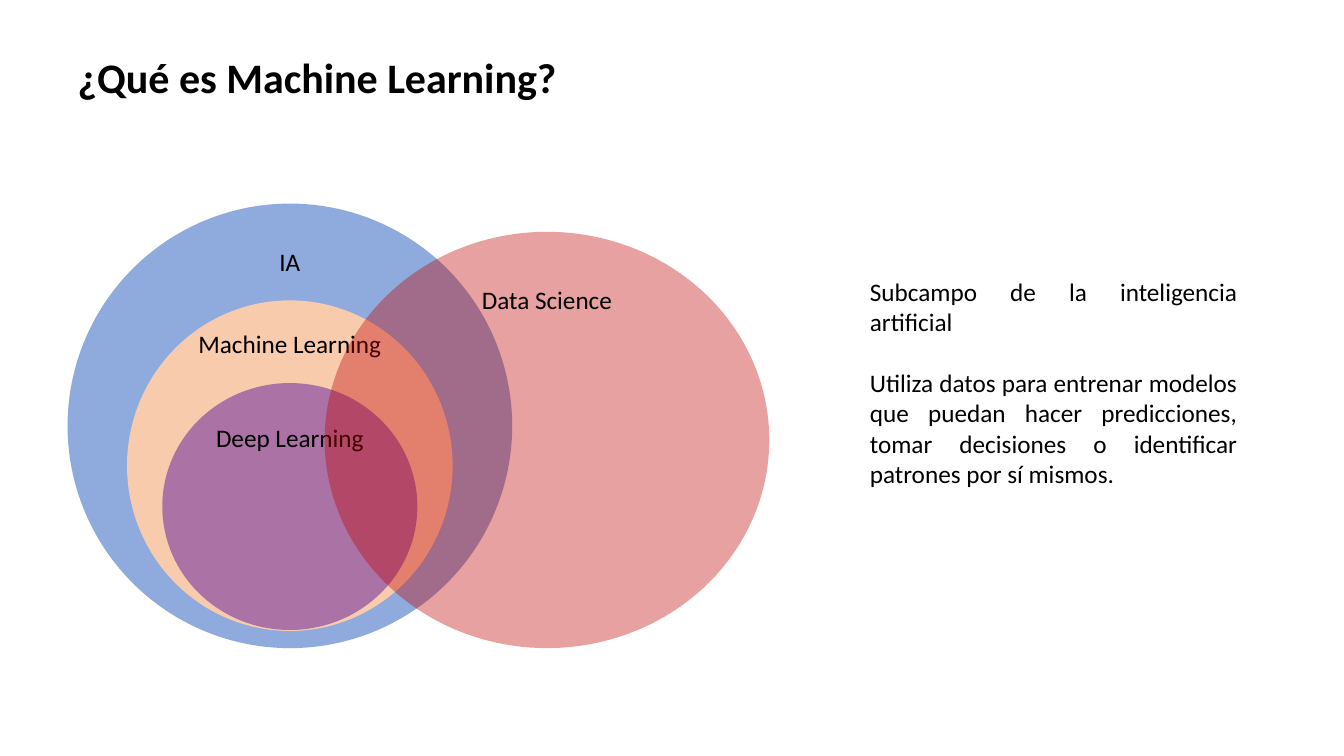
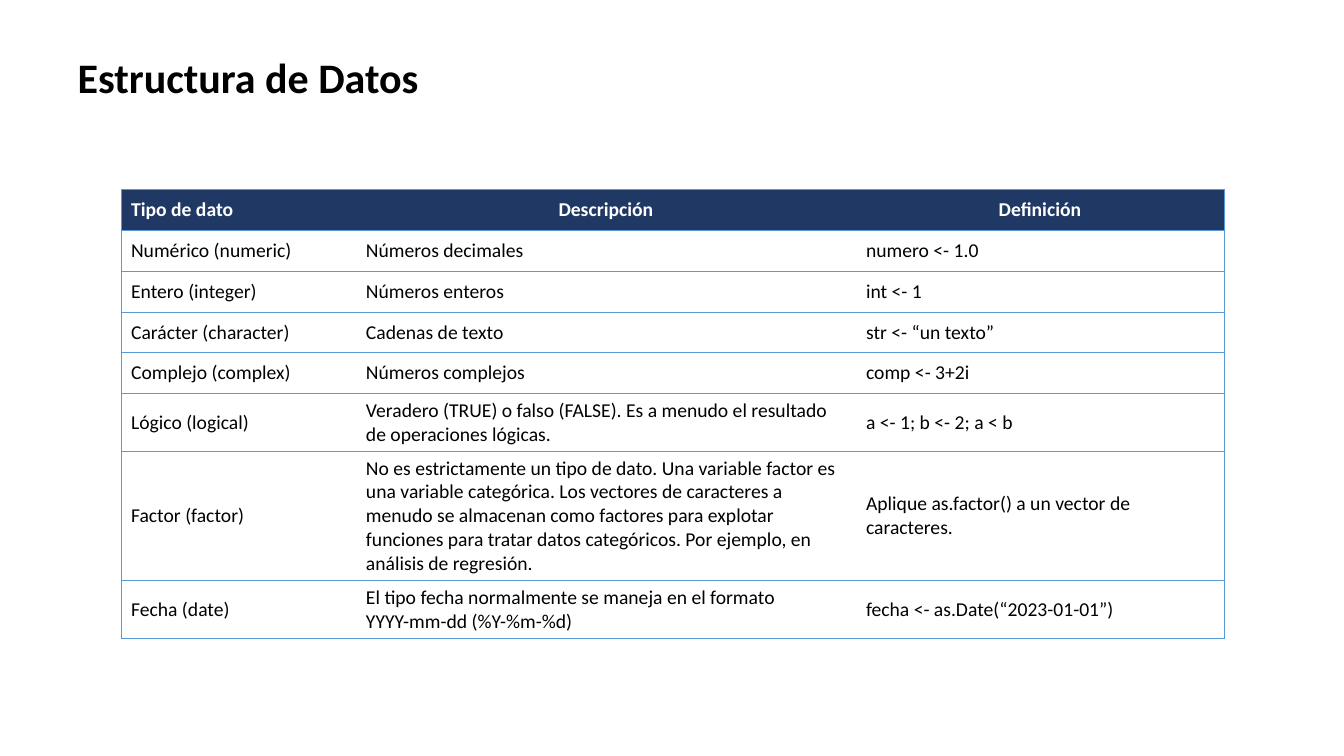
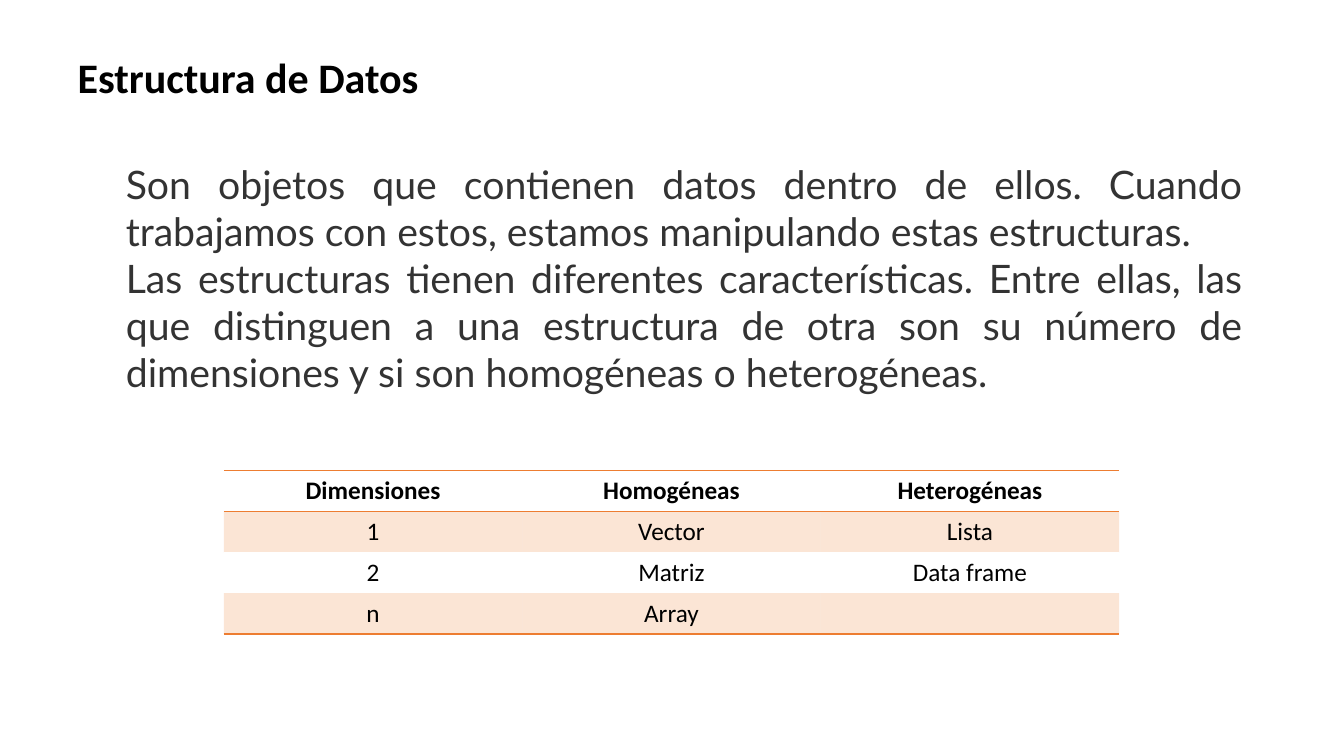
from dataclasses import dataclass

from lxml.etree import SubElement
from pptx import Presentation
from pptx.dml.color import RGBColor
from pptx.enum.shapes import MSO_SHAPE
from pptx.enum.text import MSO_ANCHOR, MSO_AUTO_SIZE, PP_ALIGN
from pptx.oxml.ns import qn
from pptx.util import Inches, Pt


@dataclass(frozen=True)
class Theme:
    font: str = "Calibri"
    prose_font: str = "Lato"
    title_size: int = 30
    prose_size: int = 28
    body_size: int = 18
    small_size: int = 14
    black: str = "000000"
    white: str = "FFFFFF"
    gray: str = "333333"
    navy: str = "203864"
    blue: str = "5B9BD5"
    light_blue: str = "8FAADC"
    peach: str = "F8CBAD"
    purple: str = "7030A0"
    red: str = "C00000"
    orange: str = "ED7D31"


@dataclass(frozen=True)
class TableStyle:
    size: int
    header_fill: str
    header_color: str
    header_alignments: tuple
    body_alignment: PP_ALIGN
    line_color: str
    line_width: float
    ruled_edges: tuple
    framed: bool = False
    band_fill: str = ""
    band_opacity: int = 100


class Deck:
    def __init__(self, theme):
        self.theme = theme
        self.presentation = Presentation()
        self.presentation.slide_width = Inches(13.33)
        self.presentation.slide_height = Inches(7.5)
        self.slide = None

    def add_slide(self, title):
        theme = self.theme
        self.slide = self.presentation.slides.add_slide(self.presentation.slide_layouts[5])
        shape = self.slide.shapes.title
        shape.left, shape.top = Inches(0.67), Inches(0.46)
        shape.width, shape.height = Inches(5.24), Inches(0.61)
        frame = shape.text_frame
        frame.text = title
        frame.vertical_anchor = MSO_ANCHOR.TOP
        frame.auto_size = MSO_AUTO_SIZE.NONE
        self.format_text(frame, theme.title_size, theme.black, PP_ALIGN.LEFT, bold=True)

    def format_text(self, frame, size, color, alignment, font=None, bold=False):
        for paragraph in frame.paragraphs:
            paragraph.alignment = alignment
            for run in paragraph.runs:
                run.font.name = font or self.theme.font
                run.font.size = Pt(size)
                run.font.bold = bold
                run.font.color.rgb = RGBColor.from_string(color)

    def paint(self, fill, element, color, opacity=100):
        fill.solid()
        fill.fore_color.rgb = RGBColor.from_string(color)
        if opacity < 100:
            color_element = next(element.iter(qn("a:srgbClr")))
            SubElement(color_element, qn("a:alpha"), val=str(opacity * 1000))

    def text(self, box, content, size, color, alignment, font=None, gap=0):
        shape = self.slide.shapes.add_textbox(*map(Inches, box))
        frame = shape.text_frame
        frame.word_wrap = True
        frame.text = content
        self.format_text(frame, size, color, alignment, font)
        for paragraph in frame.paragraphs[1:]:
            paragraph.space_before = Pt(gap)

    def labelled_circle(self, box, color, opacity, label, label_top):
        shape = self.slide.shapes.add_shape(MSO_SHAPE.OVAL, *map(Inches, box))
        shape.shadow.inherit = False
        shape.line.fill.background()
        self.paint(shape.fill, shape.element, color, opacity)
        left, _, width, _ = box
        label_width = 2.2
        label_box = (left + (width - label_width) / 2, label_top, label_width, 0.4)
        self.text(label_box, label, self.theme.body_size, self.theme.black, PP_ALIGN.CENTER)

    def borders(self, cell, sides, style):
        properties = cell._tc.get_or_add_tcPr()
        for position, side in enumerate("LRTB"):
            line = SubElement(properties, qn(f"a:ln{side}"), w=str(Pt(style.line_width)))
            if side in sides:
                fill = SubElement(line, qn("a:solidFill"))
                SubElement(fill, qn("a:srgbClr"), val=style.line_color)
            else:
                SubElement(line, qn("a:noFill"))
            properties.insert(position, line)

    def table(self, left, top, column_widths, rows, style):
        theme = self.theme
        row_height = 0.405
        table = self.slide.shapes.add_table(
            len(rows), len(column_widths), Inches(left), Inches(top),
            Inches(sum(column_widths)), Inches(row_height * len(rows)),
        ).table
        table.first_row = table.horz_banding = False
        for column, width in zip(table.columns, column_widths):
            column.width = Inches(width)
        last_column = len(column_widths) - 1
        for row_index, row in enumerate(rows):
            header = row_index == 0
            banded = style.band_fill and row_index % 2 == 1
            for column_index, content in enumerate(row):
                cell = table.cell(row_index, column_index)
                cell.text_frame.text = content
                cell.vertical_anchor = MSO_ANCHOR.MIDDLE
                alignment = style.header_alignments[column_index] if header else style.body_alignment
                color = style.header_color if header else theme.black
                self.format_text(cell.text_frame, style.size, color, alignment, bold=header)
                if banded:
                    self.paint(cell.fill, cell._tc.tcPr, style.band_fill, style.band_opacity)
                else:
                    self.paint(cell.fill, cell._tc.tcPr, style.header_fill if header else theme.white)
                side_rules = {
                    "L": style.framed and column_index == 0,
                    "R": style.framed and column_index == last_column,
                    "T": row_index in style.ruled_edges,
                    "B": row_index + 1 in style.ruled_edges,
                }
                self.borders(cell, [side for side, ruled in side_rules.items() if ruled], style)


def add_machine_learning(deck):
    theme = deck.theme
    deck.add_slide("¿Qué es Machine Learning?")
    circles = [
        ((0.67, 2.02, 4.41, 4.41), theme.light_blue, 100, "IA", 2.39),
        ((1.26, 2.98, 3.23, 3.28), theme.peach, 100, "Machine Learning", 3.21),
        ((1.61, 3.8, 2.53, 2.45), theme.purple, 57, "Deep Learning", 4.14),
        ((3.22, 2.3, 4.41, 4.13), theme.red, 37, "Data Science", 2.77),
    ]
    for circle in circles:
        deck.labelled_circle(*circle)
    definition = (
        "Subcampo de la inteligencia artificial\n"
        "Utiliza datos para entrenar modelos que puedan hacer predicciones, "
        "tomar decisiones o identificar patrones por sí mismos."
    )
    deck.text((8.53, 2.69, 3.84, 2.22), definition, theme.body_size, theme.black,
              PP_ALIGN.JUSTIFY, gap=22)


def add_data_types(deck):
    theme = deck.theme
    deck.add_slide("Estructura de Datos")
    rows = [
        ("Tipo de dato", "Descripción", "Definición"),
        ("Numérico (numeric)", "Números decimales", "numero <- 1.0"),
        ("Entero (integer)", "Números enteros", "int <- 1"),
        ("Carácter (character)", "Cadenas de texto", "str <- “un texto”"),
        ("Complejo (complex)", "Números complejos", "comp <- 3+2i"),
        ("Lógico (logical)",
         "Veradero (TRUE) o falso (FALSE). Es a menudo el resultado de operaciones lógicas.",
         "a <- 1; b <- 2; a < b"),
        ("Factor (factor)",
         "No es estrictamente un tipo de dato. Una variable factor es una variable categórica. "
         "Los vectores de caracteres a menudo se almacenan como factores para explotar funciones "
         "para tratar datos categóricos. Por ejemplo, en análisis de regresión.",
         "Aplique as.factor() a un vector de caracteres."),
        ("Fecha (date)",
         "El tipo fecha normalmente se maneja en el formato\nYYYY-mm-dd (%Y-%m-%d)",
         "fecha <- as.Date(“2023-01-01”)"),
    ]
    style = TableStyle(
        size=theme.small_size,
        header_fill=theme.navy,
        header_color=theme.white,
        header_alignments=(PP_ALIGN.LEFT, PP_ALIGN.CENTER, PP_ALIGN.CENTER),
        body_alignment=PP_ALIGN.LEFT,
        line_color=theme.blue,
        line_width=0.5,
        ruled_edges=tuple(range(len(rows) + 1)),
        framed=True,
    )
    deck.table(1.2, 1.88, (2.33, 4.96, 3.65), rows, style)


def add_dimensions(deck):
    theme = deck.theme
    deck.add_slide("Estructura de Datos")
    explanation = (
        "Son objetos que contienen datos dentro de ellos. Cuando trabajamos con estos, "
        "estamos manipulando estas estructuras.\n"
        "Las estructuras tienen diferentes características. Entre ellas, las que distinguen "
        "a una estructura de otra son su número de dimensiones y si son homogéneas o heterogéneas."
    )
    deck.text((1.15, 1.54, 11.27, 2.46), explanation, theme.prose_size, theme.gray,
              PP_ALIGN.JUSTIFY, font=theme.prose_font)
    rows = [
        ("Dimensiones", "Homogéneas", "Heterogéneas"),
        ("1", "Vector", "Lista"),
        ("2", "Matriz", "Data frame"),
        ("n", "Array", ""),
    ]
    style = TableStyle(
        size=theme.body_size,
        header_fill=theme.white,
        header_color=theme.black,
        header_alignments=(PP_ALIGN.CENTER,) * 3,
        body_alignment=PP_ALIGN.CENTER,
        line_color=theme.orange,
        line_width=1,
        ruled_edges=(0, 1, len(rows)),
        band_fill=theme.orange,
        band_opacity=20,
    )
    deck.table(2.22, 4.67, (2.96,) * 3, rows, style)


def main():
    deck = Deck(Theme())
    add_machine_learning(deck)
    add_data_types(deck)
    add_dimensions(deck)
    deck.presentation.save("out.pptx")


if __name__ == "__main__":
    main()
